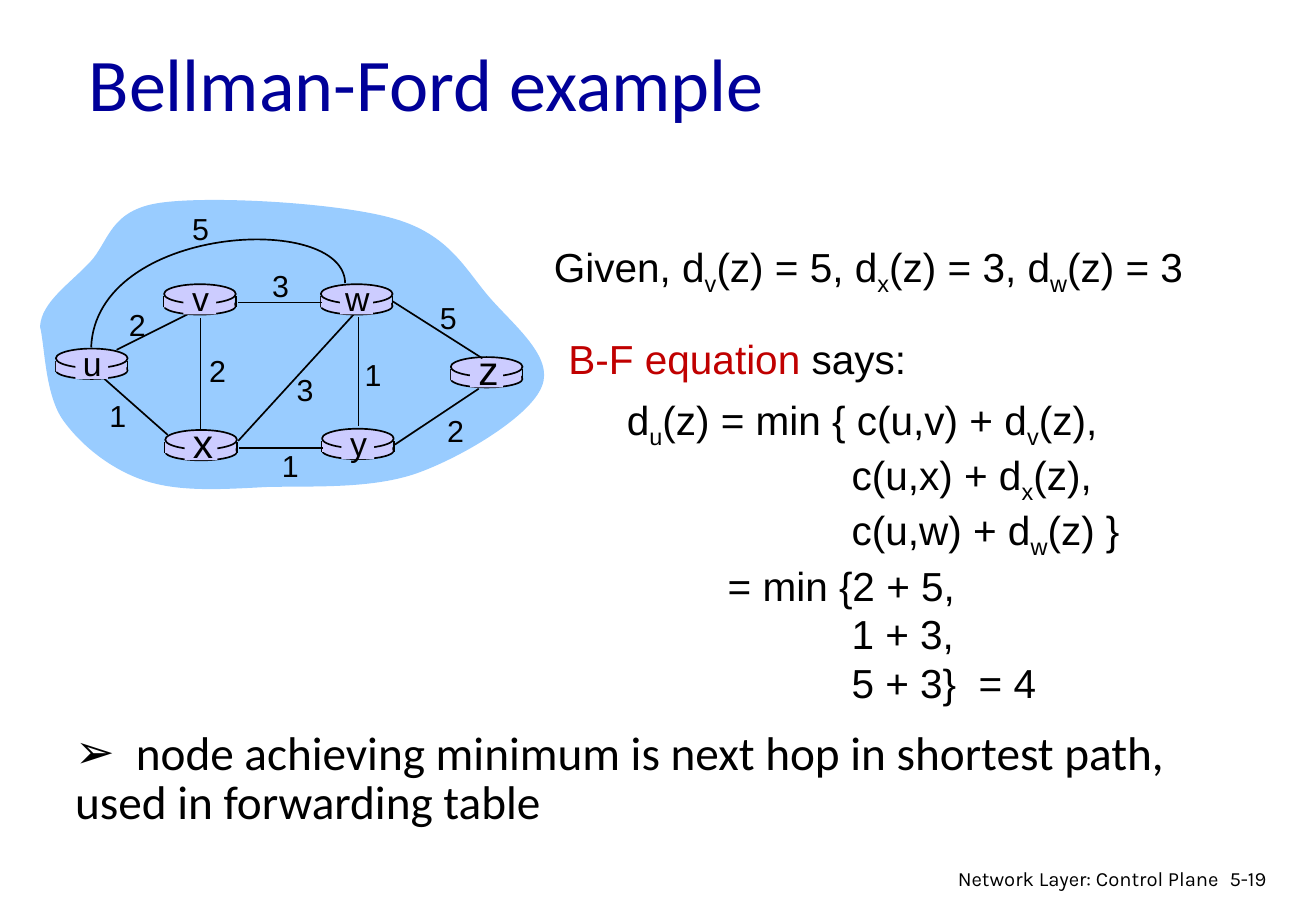
"""Build the Bellman-Ford example slide: a router network beside its worked equation."""
from lxml import etree
from pptx import Presentation
from pptx import util as u
from pptx.dml import color
from pptx.enum import shapes, text
from pptx.oxml import ns

PX = 9144
BLACK, NAVY, RED = "000000", "000099", "C00000"
CLOUD_BLUE, LILAC = "99CCFF", "CCCCFF"
OVAL, BOX = shapes.MSO_SHAPE.OVAL, shapes.MSO_SHAPE.RECTANGLE
LEFT, CENTER, RIGHT = text.PP_ALIGN.LEFT, text.PP_ALIGN.CENTER, text.PP_ALIGN.RIGHT

CLOUD = [
    (33, 269), (34, 249), (57, 234), (74, 216), (90, 199), (90, 173), (132, 167),
    (174, 161), (279, 167), (324, 180), (370, 193), (383, 222), (403, 245),
    (423, 268), (456, 294), (446, 318), (437, 342), (383, 375), (345, 389),
    (307, 403), (257, 400), (219, 401), (182, 403), (148, 405), (120, 396),
    (92, 387), (67, 367), (52, 346), (37, 325), (37, 285), (33, 269),
]
ARC_U_W = [(284, 233), (283, 174), (79, 185), (75, 286)]
LINK_U_V = (96, 288, 160, 256)
LINKS = [
    (295, 261, 295, 351), (165, 262, 165, 355), (196, 363, 291, 259),
    (325, 366, 394, 320), (266, 369, 197, 369), (138, 358, 86, 312),
    (265, 249, 196, 249), (397, 295, 323, 248),
]
ROUTERS = [
    ("u", 46, 287, 20), ("x", 136, 354, 24), ("v", 135, 234, 20),
    ("w", 264, 234, 20), ("y", 265, 353, 20), ("z", 371, 294, 24),
]
COSTS = [
    ("2", 113, 267), ("2", 179, 305), ("1", 97, 342), ("3", 251, 321), ("1", 239, 383),
    ("1", 307, 308), ("2", 375, 354), ("5", 369, 261), ("3", 231, 235), ("5", 165, 188),
]
EQUATION = [
    ("d_u(z) = min { c(u,v) + d_v(z),", 0),
    ("c(u,x) + d_x(z),", 185),
    ("c(u,w) + d_w(z) }", 185),
    ("= min {2 + 5,", 83),
    ("1 + 3,", 185),
    ("5 + 3}  = 4", 185),
]


def rgb(hex_code):
    return color.RGBColor.from_string(hex_code)


def paint(shape, fill=None, line=None):
    shape.shadow.inherit = False
    if fill:
        shape.fill.solid()
        shape.fill.fore_color.rgb = rgb(fill)
    else:
        shape.fill.background()
    if line:
        shape.line.color.rgb = rgb(line)
        shape.line.width = u.Pt(1)
    else:
        shape.line.fill.background()


def add_part(slide, kind, x, y, width, height, line=None):
    part = slide.shapes.add_shape(kind, x * PX, y * PX, width * PX, height * PX)
    paint(part, LILAC, line)


def add_link(slide, x1, y1, x2, y2):
    link = slide.shapes.add_connector(
        shapes.MSO_CONNECTOR.STRAIGHT, x1 * PX, y1 * PX, x2 * PX, y2 * PX)
    link.line.color.rgb = rgb(BLACK)
    link.line.width = u.Pt(1)
    etree.SubElement(link._element.spPr, ns.qn("a:effectLst"))


def add_curve(slide, controls, close, fill=None, line=None):
    """Draw a freeform whose points, taken by threes, are Bezier controls."""
    start, *rest = controls
    builder = slide.shapes.build_freeform(*start, scale=PX)
    builder.add_line_segments(rest, close=close)
    curve = builder.convert_to_shape()
    segments = list(curve._element.iter(ns.qn("a:lnTo")))
    for first in range(0, len(rest), 3):
        bezier = etree.Element(ns.qn("a:cubicBezTo"))
        segments[first].addprevious(bezier)
        for segment in segments[first:first + 3]:
            bezier.append(segment[0])
            segment.getparent().remove(segment)
    paint(curve, fill, line)


def subscripted(line):
    """Split a line into spans, lowering the letter that follows each underscore."""
    first, *others = line.split("_")
    spans = [(first, {})]
    for piece in others:
        spans += [(piece[0], {"baseline": -25}), (piece[1:], {})]
    return spans


def write(paragraph, spans, size=24, font="Arial", ink=BLACK, align=LEFT,
          indent=0, spacing=None, bullet=None):
    """Fill a paragraph with (words, changes) spans in one format."""
    paragraph.alignment = align
    paragraph.line_spacing = spacing
    properties = paragraph._p.get_or_add_pPr()
    properties.set("marL", str(indent * PX))
    if bullet:
        properties.set("indent", str(-indent * PX))
        etree.SubElement(properties, ns.qn("a:buFont"), typeface="Arial")
        etree.SubElement(properties, ns.qn("a:buChar"), char=bullet)
    for words, changes in spans:
        run = paragraph.add_run()
        run.text = words
        run.font.size = u.Pt(size)
        run.font.name = font
        run.font.color.rgb = rgb(changes.get("ink", ink))
        if "baseline" in changes:
            run.font._element.set("baseline", str(changes["baseline"] * 1000))


def add_text(slide, x, y, width, height, lines, **style):
    """Add a wrapped text box holding (spans, extra format) lines."""
    frame = slide.shapes.add_textbox(x * PX, y * PX, width * PX, height * PX).text_frame
    frame.word_wrap = True
    for number, (spans, extra) in enumerate(lines):
        paragraph = frame.add_paragraph() if number else frame.paragraphs[0]
        write(paragraph, spans, **{**style, **extra})


def add_label(slide, label, center_x, center_y, width, height, size):
    add_text(slide, center_x - width // 2, center_y - height // 2, width, height,
             [([(label, {})], {})], size=size, align=CENTER)


def add_router(slide, x, y):
    add_part(slide, OVAL, x, y + 11, 59, 14, BLACK)
    for side in (x, x + 59):
        add_link(slide, side, y + 10, side, y + 19)
    add_part(slide, BOX, x, y + 10, 58, 9)
    add_part(slide, OVAL, x, y, 59, 16, BLACK)


def add_network(slide):
    add_curve(slide, CLOUD, True, fill=CLOUD_BLUE)
    add_link(slide, *LINK_U_V)
    for _, x, y, _ in ROUTERS:
        add_router(slide, x, y)
    for link in LINKS:
        add_link(slide, *link)
    add_curve(slide, ARC_U_W, False, line=BLACK)
    for node, x, y, size in ROUTERS:
        add_part(slide, BOX, x + 16, y + 2, 27, 23)
        if size == 20:
            add_label(slide, node, x + 30, y + 12, 40, 44, size)
        else:
            add_label(slide, node, x + 31, y + 10, 38, 51, size)
    for cost, x, y in COSTS:
        add_label(slide, cost, x, y, 36, 40, 18)


def add_title(slide, words):
    title = slide.shapes.title
    title.left, title.top, title.width, title.height = (
        length * PX for length in (63, 19, 921, 96))
    title.text_frame.vertical_anchor = text.MSO_ANCHOR.MIDDLE
    write(title.text_frame.paragraphs[0], [(words, {})], size=44, font="Calibri", ink=NAVY)


def main():
    deck = Presentation()
    deck.slide_width, deck.slide_height = 1083 * PX, 750 * PX
    slide = deck.slides.add_slide(deck.slide_layouts[5])
    add_title(slide, "Bellman-Ford example")
    add_network(slide)
    given = subscripted("Given, d_v(z) = 5, d_x(z) = 3, d_w(z) = 3")
    add_text(slide, 446, 194, 548, 50, [(given, {})])
    add_text(slide, 506, 320, 431, 252,
             [(subscripted(line), {"indent": indent}) for line, indent in EQUATION])
    add_text(slide, 52, 598, 929, 90, [
        ([("node achieving minimum is next hop in shortest path,", {})],
         {"indent": 50, "bullet": "➢"}),
        ([("used in forwarding table", {})], {}),
    ], size=28, font="Calibri", spacing=0.85)
    add_text(slide, 458, 270, 301, 50,
             [([("B-F equation ", {"ink": RED}), ("says:", {})], {})])
    add_text(slide, 1002, 708, 65, 30, [([("5-19", {})], {})], size=12, font="Karla")
    add_text(slide, 755, 708, 258, 26, [([("Network Layer: Control Plane", {})], {})],
             size=12, font="Karla", align=RIGHT)
    deck.save("out.pptx")


if __name__ == "__main__":
    main()
